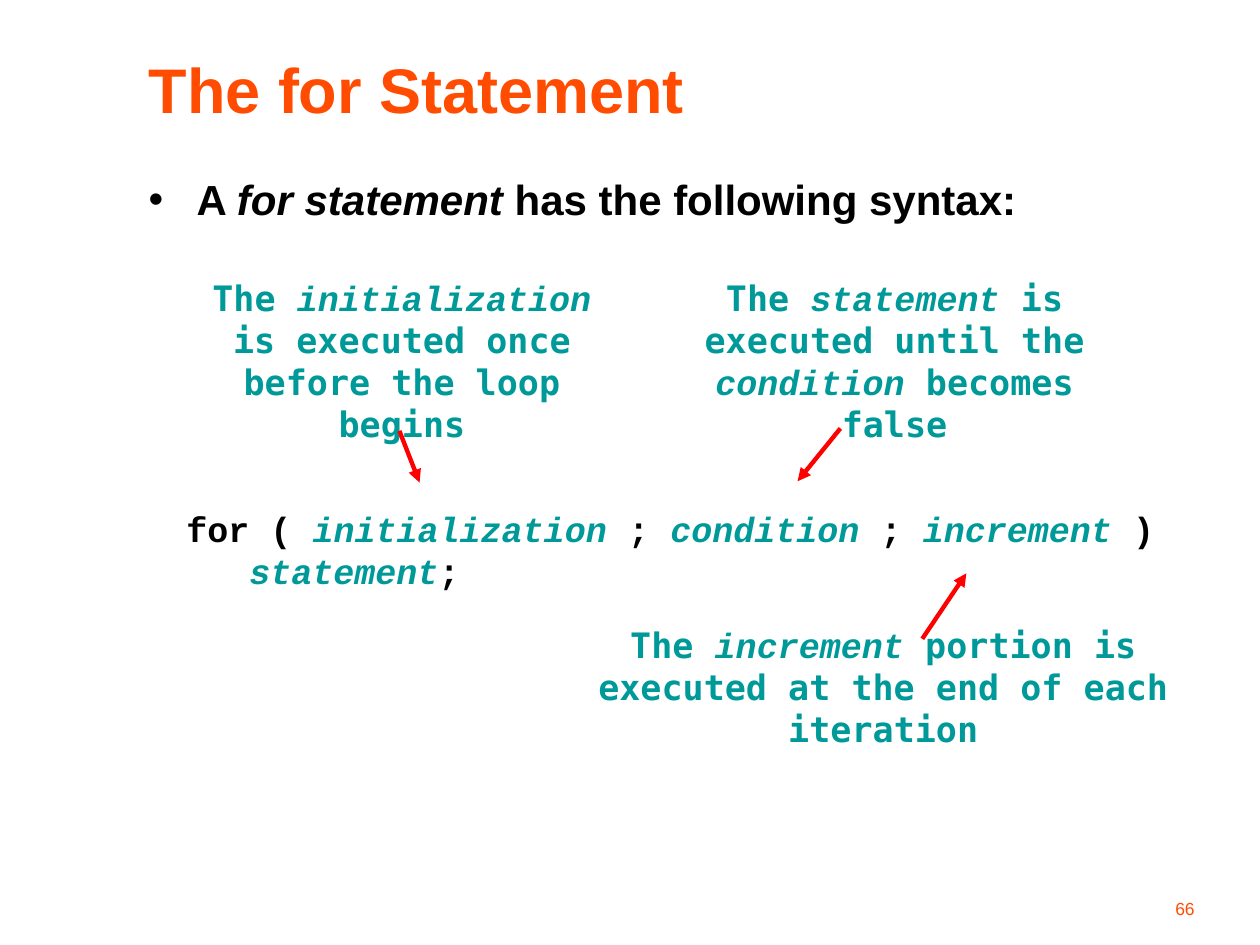
from pptx import Presentation, util as u
from pptx.dml.color import RGBColor
from pptx.enum import shapes, text
from pptx.oxml.ns import qn
from lxml import etree

ORANGE, TEAL, BLACK, RED = "FF4C00", "009999", "000000", "FF0000"
SANS, CODE, MONO = "Arial", "Courier New", "DejaVu Sans Mono"
LEFT, CENTER, RIGHT = text.PP_ALIGN.LEFT, text.PP_ALIGN.CENTER, text.PP_ALIGN.RIGHT
TOP, MIDDLE, BOTTOM = text.MSO_ANCHOR.TOP, text.MSO_ANCHOR.MIDDLE, text.MSO_ANCHOR.BOTTOM


def color(value):
    return RGBColor.from_string(value)


class SlideBuilder:
    def __init__(self, slide):
        self.slide = slide

    def place(self, shape, box):
        shape.left, shape.top, shape.width, shape.height = map(u.Inches, box)

    def frame(self, shape, anchor, wrap=True):
        frame = shape.text_frame
        frame.auto_size = text.MSO_AUTO_SIZE.NONE
        frame.word_wrap = wrap
        frame.vertical_anchor = anchor
        return frame

    def runs(self, paragraph, parts, size, align=LEFT, bold=True):
        """Each part is (text, font, colour, italic)."""
        paragraph.alignment = align
        for words, font, fill, italic in parts:
            run = paragraph.add_run()
            run.text = words
            run.font.name, run.font.size = font, u.Pt(size)
            run.font.bold, run.font.italic = bold, italic
            run.font.color.rgb = color(fill)

    def title(self, words, box):
        shape = self.slide.shapes.title
        self.place(shape, box)
        frame = self.frame(shape, MIDDLE)
        self.runs(frame.paragraphs[0], [(words, SANS, ORANGE, False)], 36)

    def bullet(self, parts, box):
        shape = self.slide.placeholders[1]
        self.place(shape, box)
        paragraph = self.frame(shape, TOP).paragraphs[0]
        self.runs(paragraph, parts, 24)
        paragraph.space_before = u.Pt(6)
        properties = paragraph._p.get_or_add_pPr()
        properties.set("marL", str(u.Inches(0.38)))
        properties.set("indent", str(-u.Inches(0.38)))
        bullet_color = etree.SubElement(properties, qn("a:buClr"))
        etree.SubElement(bullet_color, qn("a:srgbClr"), val=BLACK)
        etree.SubElement(properties, qn("a:buChar"), char="•")

    def text_box(self, lines, box, size=20, align=LEFT, anchor=MIDDLE, bold=True, wrap=True):
        shape = self.slide.shapes.add_textbox(*map(u.Inches, box))
        frame = self.frame(shape, anchor, wrap)
        for index, parts in enumerate(lines):
            paragraph = frame.add_paragraph() if index else frame.paragraphs[0]
            self.runs(paragraph, parts, size, align, bold)
        return frame

    def arrow(self, start, end):
        connector = self.slide.shapes.add_connector(
            shapes.MSO_CONNECTOR.STRAIGHT, *map(u.Inches, start + end))
        connector.line.color.rgb = color(RED)
        connector.line.width = u.Pt(2.5)
        etree.SubElement(connector.line._get_or_add_ln(), qn("a:tailEnd"), type="triangle")
        etree.SubElement(connector._element.spPr, qn("a:effectLst"))

    def note(self, lines, box, start, end):
        """A centred explanation with the arrow that leads from it."""
        self.text_box(lines, box, align=CENTER)
        self.arrow(start, end)


def plain(words):
    return words, MONO, TEAL, False


def term(words):
    return words, CODE, TEAL, True


def code(words):
    return words, CODE, BLACK, False


def main():
    presentation = Presentation()
    presentation.slide_width, presentation.slide_height = u.Inches(10), u.Inches(7.5)
    slide = presentation.slides.add_slide(presentation.slide_layouts[1])
    builder = SlideBuilder(slide)

    builder.title("The for Statement", (1.08, 0.33, 8.67, 0.75))
    builder.bullet([("A ", SANS, BLACK, False),
                    ("for statement", SANS, BLACK, True),
                    (" has the following syntax:", SANS, BLACK, False)],
                   (1.08, 1.33, 8.67, 0.87))

    syntax = builder.text_box(
        [[code("for ( "), term("initialization"), code(" ; "), term("condition"),
          code(" ; "), term("increment"), code(" )")],
         [term("statement"), code(";")]],
        (1.38, 3.98, 7.88, 0.77), wrap=False)
    syntax.paragraphs[1]._p.get_or_add_pPr().set("marL", str(u.Inches(0.5)))

    builder.note([[plain("The "), term("initialization")],
                  [plain("is executed once")],
                  [plain("before the loop begins")]],
                 (1.53, 2.31, 3.32, 1.1), (3.17, 3.42), (3.33, 3.83))
    builder.note([[plain("The "), term("statement"), plain(" is")],
                  [plain("executed until the")],
                  [term("condition"), plain(" becomes false")]],
                 (5.23, 2.31, 3.74, 1.1), (6.67, 3.4), (6.33, 3.82))
    builder.note([[plain("The "), term("increment"),
                   plain(" portion is executed at the end of each iteration")]],
                 (4.5, 4.9, 5.02, 1.1), (7.32, 5.07), (7.67, 4.55))

    builder.text_box([[("66", SANS, ORANGE, False)]], (7.5, 6.92, 2.08, 0.42),
                     size=10, align=RIGHT, anchor=BOTTOM, bold=False)
    presentation.save("out.pptx")


if __name__ == "__main__":
    main()
